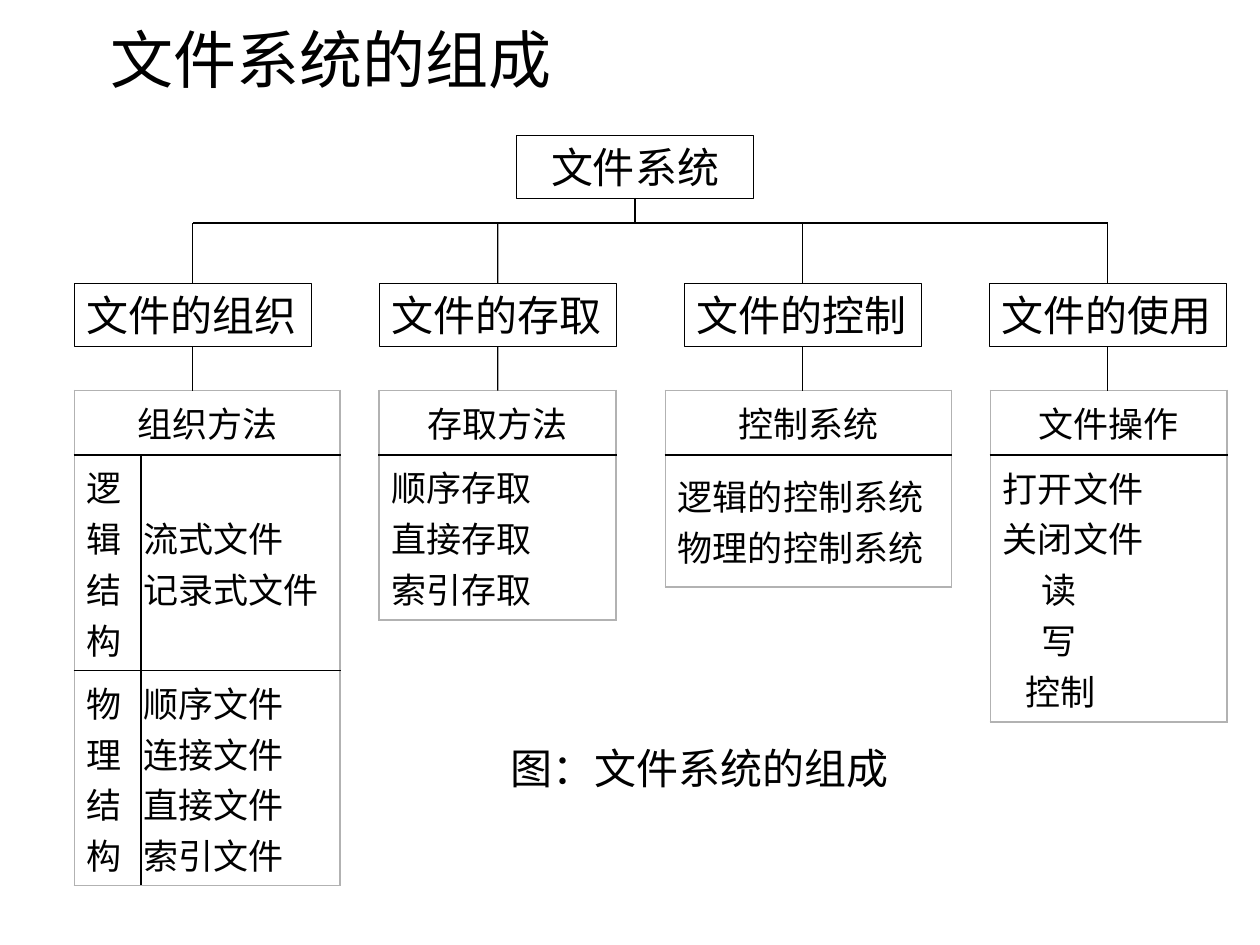
from dataclasses import dataclass, field

import pptx
import pptx.dml.color
import pptx.enum.shapes
import pptx.enum.text
import pptx.oxml
import pptx.oxml.ns
import pptx.util
from pptx.util import Inches

COLOURS = {"ink": "000000", "frame": "B2B2B2"}
ALIGN = pptx.enum.text.PP_ALIGN
ANCHOR = pptx.enum.text.MSO_ANCHOR
BOX_WIDTH, BOX_HEIGHT = 1.88, 0.5
TOPIC_LEFT, TOPIC_STEP, TOPIC_TOP = 0.59, 2.42, 2.25
BUS_TOP, TABLE_TOP = 1.77, 3.1
HEADING_HEIGHT = 0.51


@dataclass
class Entry:
    lines: list[str]
    align: ALIGN = ALIGN.LEFT
    anchor: ANCHOR = ANCHOR.MIDDLE
    side_margin: float = 0.1
    indents: dict[int, float] = field(default_factory=dict)


@dataclass
class Branch:
    topic: str
    left: float
    columns: list[float]
    entry_height: float
    heading: str
    entries: list[list[Entry]]


BRANCHES = [
    Branch("文件的组织", 0.59, [0.53, 1.58], 1.71, "组织方法", [
        [Entry(["逻辑结构"], anchor=ANCHOR.TOP),
         Entry(["流式文件", "记录式文件"], side_margin=0.02)],
        [Entry(["物理结构"], anchor=ANCHOR.TOP),
         Entry(["顺序文件", "连接文件", "直接文件", "索引文件"], side_margin=0.02)],
    ]),
    Branch("文件的存取", 3.01, [1.88], 1.31, "存取方法",
           [[Entry(["顺序存取", "直接存取", "索引存取"])]]),
    Branch("文件的控制", 5.28, [2.27], 1.05, "控制系统",
           [[Entry(["逻辑的控制系统", "物理的控制系统"])]]),
    Branch("文件的使用", 7.86, [1.88], 2.12, "文件操作",
           [[Entry(["打开文件", "关闭文件", "读", "写", "控制"],
                   indents={2: 0.31, 3: 0.31, 4: 0.18})]]),
]


def apply(target: object, values: dict) -> None:
    for name, value in values.items():
        setattr(target, name, value)


def colour(name: str) -> pptx.dml.color.RGBColor:
    return pptx.dml.color.RGBColor.from_string(COLOURS[name])


def write(frame, lines: list[str], size: float, align: ALIGN = ALIGN.LEFT,
          font: str = "Arial", indents: dict[int, float] | None = None) -> None:
    for index, line in enumerate(lines):
        para = frame.paragraphs[0] if index == 0 else frame.add_paragraph()
        para.alignment = align
        if indents and index in indents:
            para._p.get_or_add_pPr().set("marL", str(Inches(indents[index])))
        span = para.add_run()
        span.text = line
        apply(span.font, {"name": font, "size": pptx.util.Pt(size), "bold": False})
        span.font.color.rgb = colour("ink")


def add_label(page, text: str, left: float, top: float, width: float,
              height: float, size: float, font: str = "Arial") -> None:
    box = page.shapes.add_textbox(Inches(left), Inches(top), Inches(width), Inches(height))
    apply(box.text_frame, {"word_wrap": True, "vertical_anchor": ANCHOR.MIDDLE})
    write(box.text_frame, [text], size, font=font)


def add_box(page, text: str, left: float, top: float, align: ALIGN = ALIGN.LEFT):
    box = page.shapes.add_shape(pptx.enum.shapes.MSO_SHAPE.RECTANGLE, Inches(left),
                                Inches(top), Inches(BOX_WIDTH), Inches(BOX_HEIGHT))
    box.shadow.inherit = False
    box.fill.background()
    box.line.color.rgb = colour("ink")
    box.line.width = pptx.util.Pt(0.25)
    apply(box.text_frame, {"word_wrap": True, "vertical_anchor": ANCHOR.MIDDLE})
    write(box.text_frame, [text], 24, align)
    return box


def add_line(page, start: tuple[float, float], end: tuple[float, float],
             box=None, site: int = 0) -> None:
    line = page.shapes.add_connector(pptx.enum.shapes.MSO_CONNECTOR.STRAIGHT,
                                     *map(Inches, start + end))
    line.line.color.rgb = colour("ink")
    line.line.width = pptx.util.Pt(0.75)
    properties = line._element.spPr
    properties.append(properties.makeelement(pptx.oxml.ns.qn("a:effectLst"), {}))
    if box is not None:
        line.begin_connect(box, site)


def add_borders(cell, outer: dict[str, bool]) -> None:
    properties = cell._tc.get_or_add_tcPr()
    for index, (side, is_outer) in enumerate(outer.items()):
        shade = COLOURS["frame" if is_outer else "ink"]
        border = pptx.oxml.parse_xml(
            f'<a:{side} {pptx.oxml.ns.nsdecls("a")} w="{pptx.util.Pt(1)}">'
            f'<a:solidFill><a:srgbClr val="{shade}"/></a:solidFill></a:{side}>')
        properties.insert(index, border)


def fill_cell(cell, entry: Entry) -> None:
    margin = Inches(entry.side_margin)
    apply(cell, {"margin_left": margin, "margin_right": margin,
                 "vertical_anchor": entry.anchor})
    write(cell.text_frame, entry.lines, 20, entry.align, indents=entry.indents)


def add_branch_table(page, branch: Branch) -> None:
    heights = [HEADING_HEIGHT] + [branch.entry_height] * len(branch.entries)
    last_row, last_column = len(heights) - 1, len(branch.columns) - 1
    table = page.shapes.add_table(
        len(heights), len(branch.columns), Inches(branch.left), Inches(TABLE_TOP),
        Inches(sum(branch.columns)), Inches(sum(heights))).table
    apply(table, {"first_row": False, "horz_banding": False})
    for column, width in zip(table.columns, branch.columns):
        column.width = Inches(width)
    for row_index, height in enumerate(heights):
        table.rows[row_index].height = Inches(height)
        for column_index in range(len(branch.columns)):
            cell = table.cell(row_index, column_index)
            cell.fill.background()
            add_borders(cell, {
                "lnL": column_index == 0,
                "lnR": column_index == last_column or row_index == 0,
                "lnT": row_index == 0,
                "lnB": row_index == last_row,
            })
    heading = table.cell(0, 0)
    if last_column:
        heading.merge(table.cell(0, last_column))
    fill_cell(heading, Entry([branch.heading], ALIGN.CENTER, ANCHOR.TOP))
    for row_index, entries in enumerate(branch.entries, 1):
        for column_index, entry in enumerate(entries):
            fill_cell(table.cell(row_index, column_index), entry)


def main() -> None:
    deck = pptx.Presentation()
    apply(deck, {"slide_width": Inches(10), "slide_height": Inches(7.5)})
    page = deck.slides.add_slide(deck.slide_layouts[6])

    add_label(page, "文件系统的组成", 0.78, 0, 8.39, 0.92, 36, "Noto Sans CJK JP")
    for branch in BRANCHES:
        add_branch_table(page, branch)

    root_left, root_top = 4.1, 1.07
    root = add_box(page, "文件系统", root_left, root_top, ALIGN.CENTER)
    root_middle = root_left + BOX_WIDTH / 2
    add_line(page, (root_middle, root_top + BOX_HEIGHT), (root_middle, BUS_TOP), root, 2)

    middles = []
    for index, branch in enumerate(BRANCHES):
        left = TOPIC_LEFT + index * TOPIC_STEP
        middle = left + BOX_WIDTH / 2
        middles.append(middle)
        topic = add_box(page, branch.topic, left, TOPIC_TOP)
        add_line(page, (middle, TOPIC_TOP), (middle, BUS_TOP), topic, 0)
        add_line(page, (middle, TOPIC_TOP + BOX_HEIGHT), (middle, TABLE_TOP), topic, 2)
    add_line(page, (middles[0], BUS_TOP), (middles[-1], BUS_TOP))

    add_label(page, "图：文件系统的组成", 3.95, 5.84, 3.23, 0.5, 24)
    deck.save("out.pptx")


if __name__ == "__main__":
    main()
